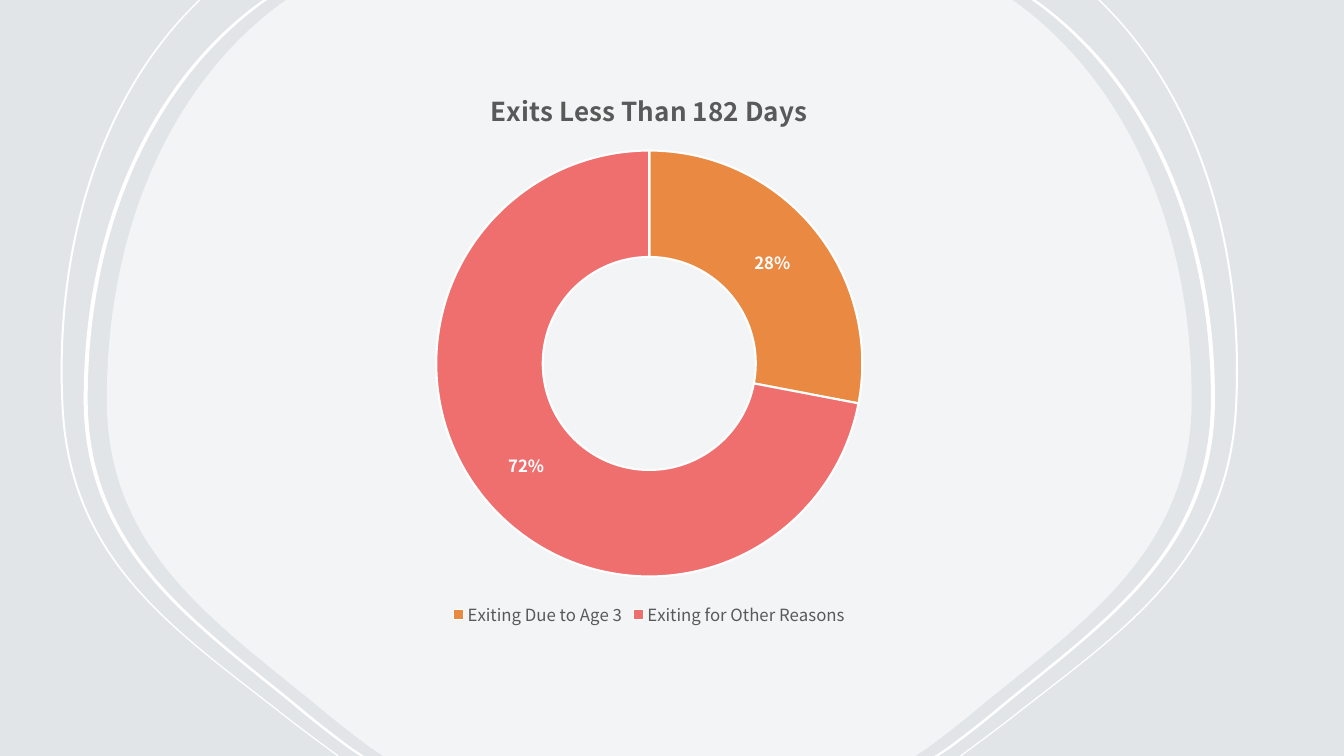
from dataclasses import dataclass
from itertools import accumulate

from pptx import Presentation
from pptx.chart.data import CategoryChartData
from pptx.dml.color import RGBColor
from pptx.enum.chart import XL_CHART_TYPE as ChartType, XL_LEGEND_POSITION as LegendPos
from pptx.oxml import parse_xml
from pptx.oxml.ns import nsdecls, qn
from pptx.util import Pt

PX = 9144
WIDTH, HEIGHT = 1333, 750
MIRROR = 1288
FONT = "Noto Sans CJK JP"
WHITE, GREY = "FFFFFF", "595959"
LINE, CURVE = 1, 3
SIDE = (LINE, CURVE, CURVE, CURVE, LINE)
STEPS = (*SIDE, LINE, *SIDE)

Point = tuple[int, int]


@dataclass(frozen=True)
class Edge:
    """Left contour: a line, three cubic curves and a line."""
    points: tuple[Point, ...]

    def shifted(self, shift: int) -> list[Point]:
        """Return the points moved sideways."""
        return [(x + shift, y) for x, y in self.points]


@dataclass(frozen=True)
class Band:
    """White band that follows an edge."""
    edge: Edge
    width: int


@dataclass(frozen=True)
class Slice:
    """One slice of the doughnut."""
    name: str
    value: float
    color: str


OUTER = Edge(((197, 0), (194, 3), (101, 94), (53, 240), (61, 402),
              (68, 555), (170, 623), (276, 706),
              (295, 721), (314, 735), (333, 749), (334, 750)))
INNER = Edge(((261, 0), (258, 2), (146, 83), (83, 229), (83, 396),
              (83, 543), (185, 613), (288, 697),
              (307, 713), (326, 728), (345, 742), (357, 750)))
BANDS = (Band(OUTER, 2), Band(INNER, 4))
BODY_SHIFT = 23
SLICES = (Slice("Exiting Due to Age 3", 28, "EA8942"),
          Slice("Exiting for Other Reasons", 72, "EE6F6E"))


def rgb(value: str) -> RGBColor:
    """Turn a hex string into a colour."""
    return RGBColor.from_string(value)


def mirrored(pts: list[Point]) -> list[Point]:
    """Reflect points to the right side."""
    return [(MIRROR - x, y) for x, y in pts]


def fill(fmt, color: str) -> None:
    """Give a solid fill."""
    fmt.fill.solid()
    fmt.fill.fore_color.rgb = rgb(color)


def add_outline(s, pts: list[Point], alpha: int = 100) -> None:
    """Draw a closed white outline with curves and an opacity in percent."""
    ends = list(accumulate(STEPS))
    builder = s.shapes.build_freeform(*pts[0], scale=PX)
    builder.add_line_segments([pts[e] for e in ends])
    sp = builder.convert_to_shape()
    left, top = sp.left // PX, sp.top // PX
    segments = list(sp._element.iter(qn("a:lnTo")))
    for segment, end, step in zip(segments, ends, STEPS):
        if step == CURVE:
            segment.tag = qn("a:cubicBezTo")
            for i, (x, y) in enumerate(pts[end - 2:end]):
                segment.insert(i, parse_xml(
                    f'<a:pt {nsdecls("a")} x="{x - left}" y="{y - top}"/>'))
    sp.shadow.inherit = False
    sp.line.fill.background()
    fill(sp, WHITE)
    if alpha < 100:
        clr = sp._element.spPr.find(qn("a:solidFill"))[0]
        clr.append(parse_xml(f'<a:alpha {nsdecls("a")} val="{alpha * 1000}"/>'))


def style_font(font, size: float, color: str, bold: bool = False) -> None:
    """Set the format of a font."""
    for key, value in {"name": FONT, "size": Pt(size), "bold": bold}.items():
        setattr(font, key, value)
    font.color.rgb = rgb(color)


def add_doughnut(s, left: int, top: int, width: int, height: int) -> None:
    """Draw the doughnut chart with its title, labels and legend."""
    data = CategoryChartData()
    data.categories = [item.name for item in SLICES]
    data.add_series("Series 1", [item.value for item in SLICES])
    box = [n * PX for n in (left, top, width, height)]
    chart = s.shapes.add_chart(ChartType.DOUGHNUT, *box, data).chart
    style_font(chart.font, 10, "000000")

    chart.has_title = True
    p = chart.chart_title.text_frame.paragraphs[0]
    r = p.add_run()
    r.text = "Exits Less Than 182 Days"
    style_font(r.font, 18.6, GREY, True)

    chart.has_legend = True
    for key, value in {"position": LegendPos.BOTTOM, "include_in_layout": False}.items():
        setattr(chart.legend, key, value)
    style_font(chart.legend.font, 12, GREY)

    plot = chart.plots[0]
    plot.vary_by_categories = True
    plot._element.find(qn("c:holeSize")).set("val", "55")
    for i, item in enumerate(SLICES):
        fmt = plot.series[0].points[i].format
        fill(fmt, item.color)
        fmt.line.color.rgb = rgb(WHITE)
        fmt.line.width = Pt(1.5)

    labels = plot.series[0].data_labels
    for key, value in {"show_percentage": True, "show_value": False,
                       "number_format": "0%", "number_format_is_linked": False}.items():
        setattr(labels, key, value)
    style_font(labels.font, 12, WHITE, True)


def main() -> None:
    """Build the slide and save it."""
    prs = Presentation()
    prs.slide_width, prs.slide_height = WIDTH * PX, HEIGHT * PX
    s = prs.slides.add_slide(prs.slide_layouts[6])
    fill(s.background, "E2E5E8")
    for mirror in (list, mirrored):
        for band in BANDS:
            pts = band.edge.shifted(0) + band.edge.shifted(band.width)[::-1]
            add_outline(s, mirror(pts))
    side = INNER.shifted(BODY_SHIFT)
    add_outline(s, side + mirrored(side)[::-1], 60)
    add_doughnut(s, 155, 66, 978, 560)
    prs.save("out.pptx")


if __name__ == "__main__":
    main()
